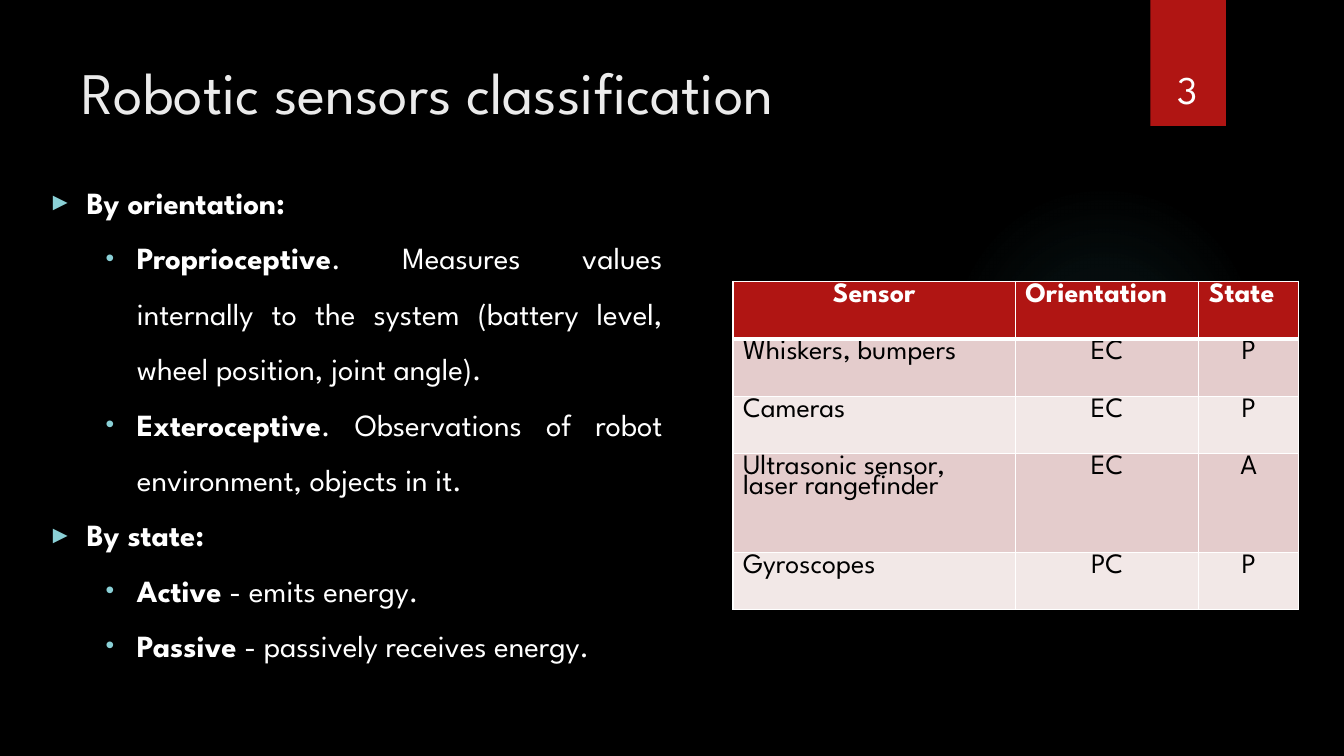
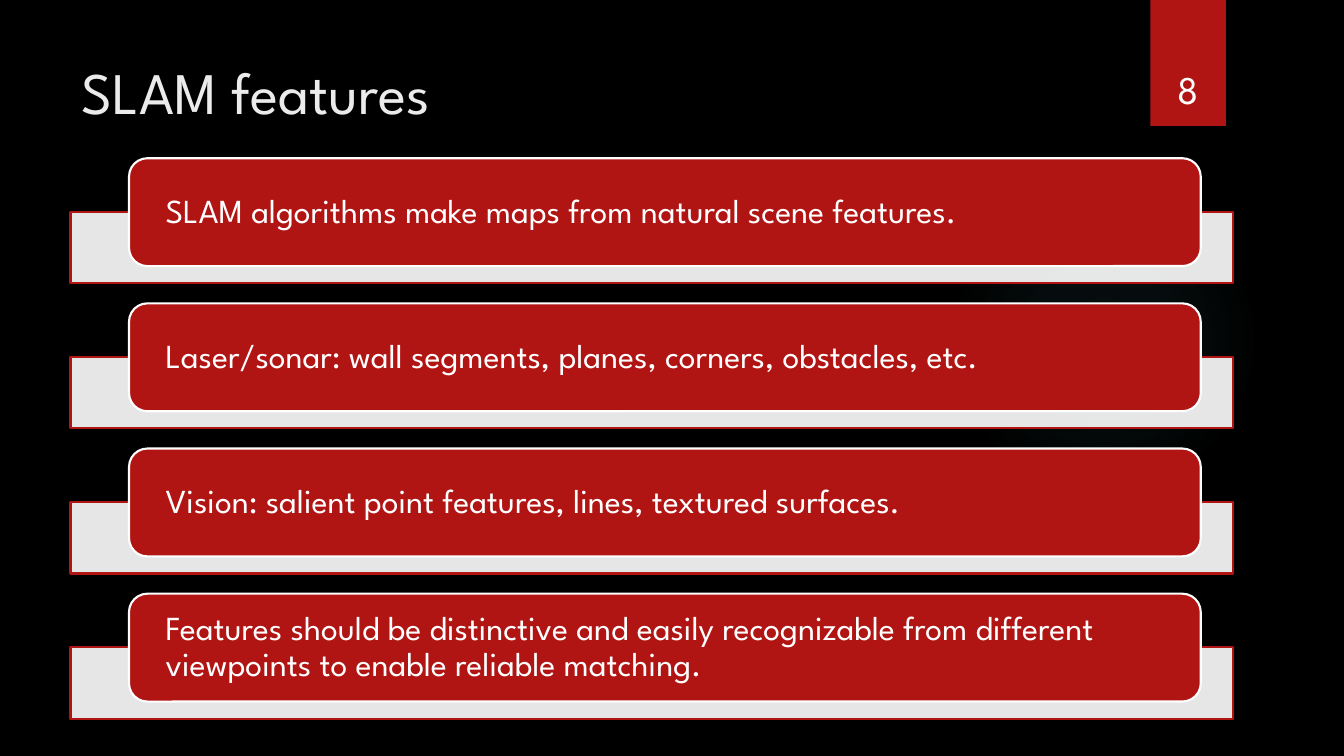
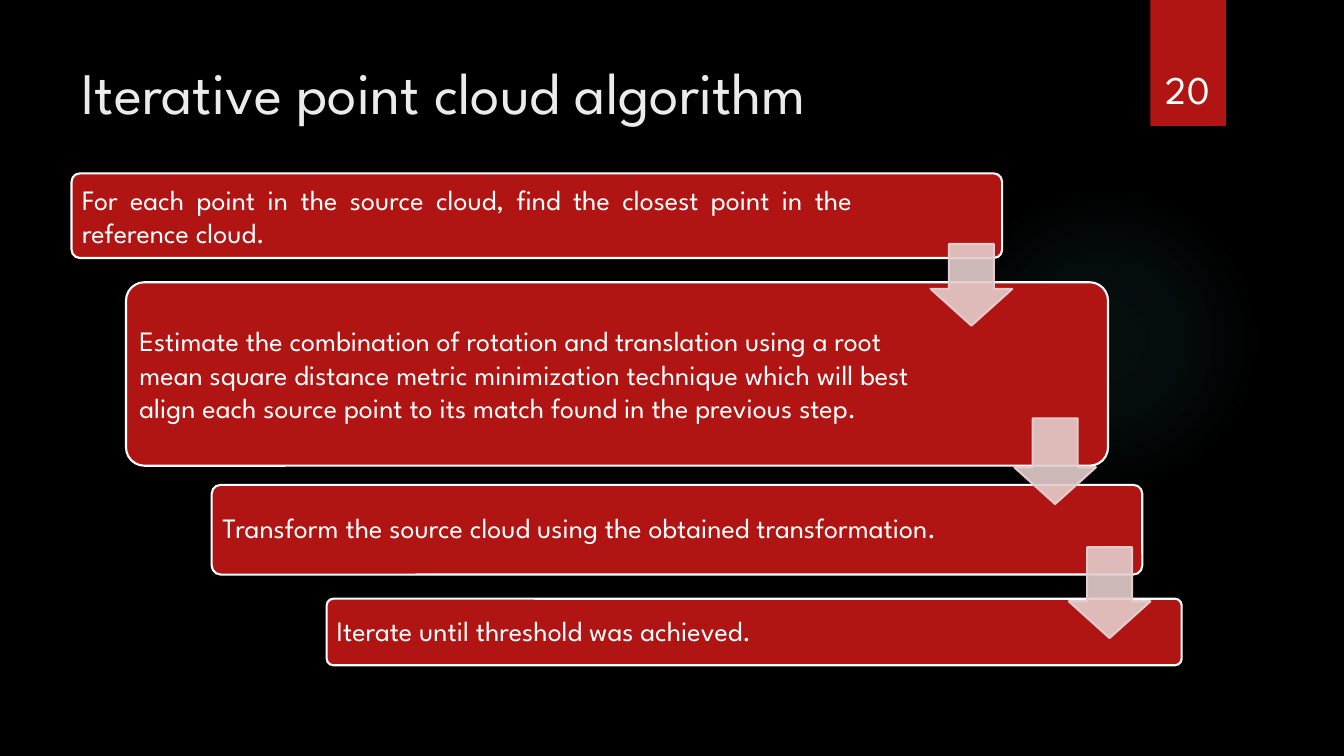
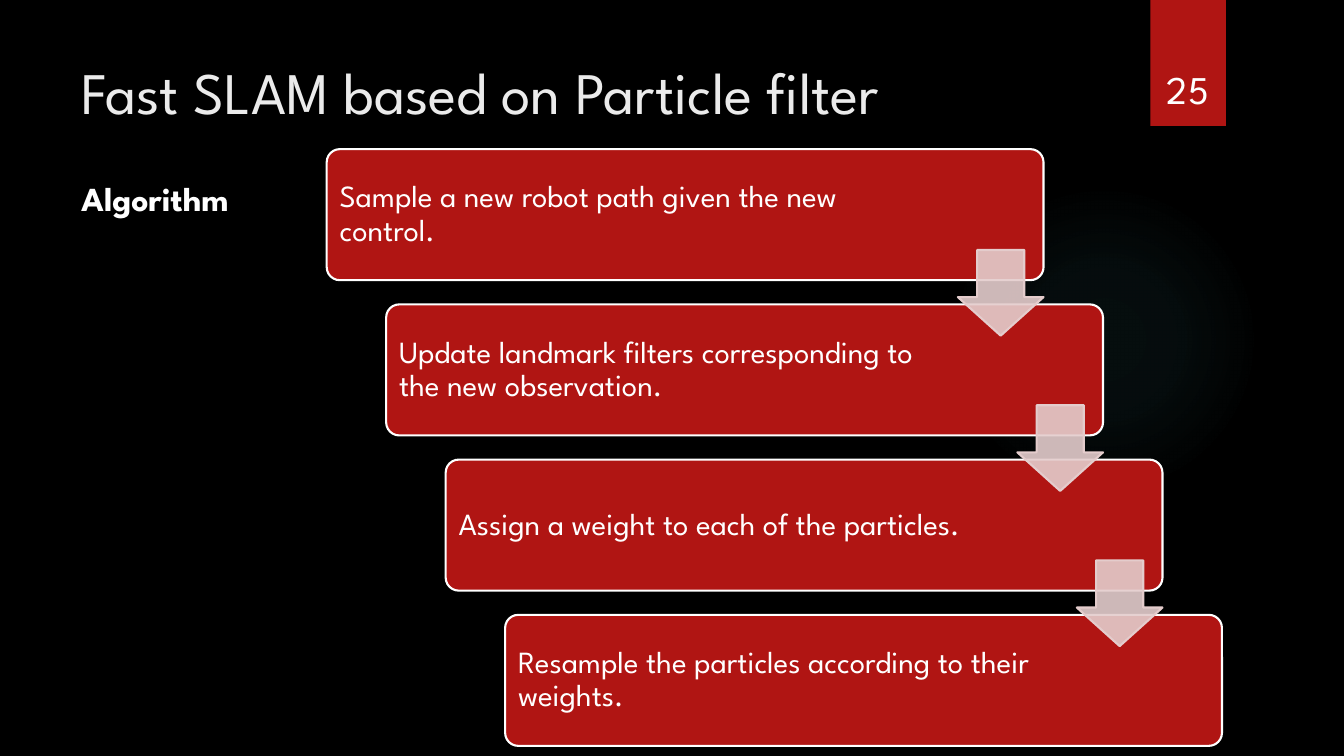
from lxml import etree
from pptx import Presentation
from pptx.dml.color import RGBColor
from pptx.enum.shapes import MSO_SHAPE
from pptx.enum.text import MSO_ANCHOR, PP_ALIGN
from pptx.oxml import parse_xml
from pptx.oxml.ns import nsdecls, qn
from pptx.util import Inches, Pt

RECT, ROUND = MSO_SHAPE.RECTANGLE, MSO_SHAPE.ROUNDED_RECTANGLE
OVAL, DOWN_ARROW = MSO_SHAPE.OVAL, MSO_SHAPE.DOWN_ARROW
LEFT, CENTER, JUSTIFY = PP_ALIGN.LEFT, PP_ALIGN.CENTER, PP_ALIGN.JUSTIFY
TOP, MIDDLE, BOTTOM = MSO_ANCHOR.TOP, MSO_ANCHOR.MIDDLE, MSO_ANCHOR.BOTTOM

FONT = "League Spartan"
BLACK = RGBColor(0x00, 0x00, 0x00)
WHITE = RGBColor(0xFF, 0xFF, 0xFF)
RED = RGBColor(0xB0, 0x15, 0x13)
TITLE_GREY = RGBColor(0xEB, 0xEB, 0xEB)
PINK = RGBColor(0xE4, 0xCC, 0xCC)
PALE_PINK = RGBColor(0xF2, 0xE8, 0xE7)
GLOW = RGBColor(0x50, 0xB9, 0xC1)
BULLET = RGBColor(0x8A, 0xD0, 0xD6)


# Text
def style(font, size, color=WHITE, bold=False):
    font.name, font.size, font.bold = FONT, Pt(size), bold
    font.color.rgb = color


def write(tf, text, size, color=WHITE, bold=False, align=LEFT, anchor=TOP, spacing=None):
    tf.word_wrap = True
    tf.vertical_anchor = anchor
    tf.text = text
    for p in tf.paragraphs:
        p.alignment = align
        if spacing:
            p.line_spacing = spacing
        for r in p.runs:
            style(r.font, size, color, bold)


def add_text(s, x, y, w, h, text, size, **options):
    box = s.shapes.add_textbox(Inches(x), Inches(y), Inches(w), Inches(h))
    write(box.text_frame, text, size, **options)


def set_bullet(p, char, margin, indent):
    pPr = p._p.get_or_add_pPr()
    pPr.set("marL", str(Inches(margin)))
    pPr.set("indent", str(Inches(indent)))
    color = etree.SubElement(pPr, qn("a:buClr"))
    etree.SubElement(color, qn("a:srgbClr"), val=str(BULLET))
    etree.SubElement(pPr, qn("a:buSzPct"), val="80000")
    etree.SubElement(pPr, qn("a:buFont"), typeface="Arial")
    etree.SubElement(pPr, qn("a:buChar"), char=char)


def add_bullets(s, x, y, w, h, items):
    """Items are (bold lead, plain rest); those without a rest are headings."""
    tf = s.shapes.add_textbox(Inches(x), Inches(y), Inches(w), Inches(h)).text_frame
    tf.word_wrap = True
    for i, (lead, rest) in enumerate(items):
        p = tf.add_paragraph() if i else tf.paragraphs[0]
        p.alignment, p.line_spacing = JUSTIFY, 1.5
        if rest:
            set_bullet(p, "•", 0.88, -0.31)
        else:
            set_bullet(p, "►", 0.38, -0.38)
        for text, bold in ((lead, True), (rest, False)):
            if text:
                r = p.add_run()
                r.text = text
                style(r.font, 22, bold=bold)


# Shapes
def add_shape(s, kind, x, y, w, h, fill, line=None, alpha=None):
    sp = s.shapes.add_shape(kind, Inches(x), Inches(y), Inches(w), Inches(h))
    sp.shadow.inherit = False
    sp.fill.solid()
    sp.fill.fore_color.rgb = fill
    if line is None:
        sp.line.fill.background()
    else:
        sp.line.color.rgb = line
        sp.line.width = Pt(1.5)
    if alpha:
        color = sp._element.spPr.find(qn("a:solidFill")).find(qn("a:srgbClr"))
        etree.SubElement(color, qn("a:alpha"), val=str(alpha * 1000))
    return sp


def add_card(s, x, y, w, h, text, size, inset, right_inset, adj=0.1, align=LEFT, spacing=0.9):
    sp = add_shape(s, ROUND, x, y, w, h, RED, WHITE)
    sp.adjustments[0] = adj
    tf = sp.text_frame
    tf.margin_left, tf.margin_right = Inches(inset), Inches(right_inset)
    tf.margin_top = tf.margin_bottom = 0
    write(tf, text, size, align=align, anchor=MIDDLE, spacing=spacing)


def add_arrow(s, x, y, w, h):
    sp = add_shape(s, DOWN_ARROW, x, y, w, h, PINK, PINK, alpha=90)
    sp.adjustments[0], sp.adjustments[1] = 0.55, 0.45


def add_glow(s):
    sp = add_shape(s, OVAL, 9.41, 1.83, 3.08, 3.08, GLOW)
    stops = "".join(
        f'<a:gs pos="{pos * 1000}"><a:srgbClr val="{GLOW}">'
        f'<a:alpha val="{alpha * 1000}"/></a:srgbClr></a:gs>'
        for pos, alpha in ((0, 7), (36, 6), (69, 0), (100, 0)))
    gradient = parse_xml(
        f'<a:gradFill {nsdecls("a")}><a:gsLst>{stops}</a:gsLst><a:path path="circle">'
        '<a:fillToRect l="50000" t="50000" r="50000" b="50000"/></a:path></a:gradFill>')
    spPr = sp._element.spPr
    spPr.replace(spPr.find(qn("a:solidFill")), gradient)


# Table
def set_borders(cell, top, bottom):
    tcPr = cell._tc.get_or_add_tcPr()
    for side, width in (("L", 1), ("R", 1), ("T", top), ("B", bottom)):
        ln = etree.SubElement(tcPr, qn(f"a:ln{side}"), w=str(Pt(width)))
        fill = etree.SubElement(ln, qn("a:solidFill"))
        etree.SubElement(fill, qn("a:srgbClr"), val=str(WHITE))


def add_sensor_table(s, x, y, widths, heights, rows):
    table = s.shapes.add_table(len(rows), len(widths), Inches(x), Inches(y),
                               Inches(sum(widths)), Inches(sum(heights))).table
    table.first_row = table.horz_banding = False
    for column, width in zip(table.columns, widths):
        column.width = Inches(width)
    for i, (row, height) in enumerate(zip(rows, heights)):
        table.rows[i].height = Inches(height)
        header = i == 0
        for j, text in enumerate(row):
            cell = table.cell(i, j)
            set_borders(cell, 3 if i == 1 else 1, 3 if header else 1)
            cell.fill.solid()
            cell.fill.fore_color.rgb = RED if header else PINK if i % 2 else PALE_PINK
            # The header centres its first column, the body all the others
            write(cell.text_frame, text, 20, WHITE if header else BLACK, header,
                  CENTER if header == (j == 0) else LEFT, spacing=0.78)


# Slides
def add_slide(prs, title, number):
    s = prs.slides.add_slide(prs.slide_layouts[6])
    add_glow(s)
    add_shape(s, RECT, 11.41, 0, 0.75, 1.25, RED)
    add_text(s, 0.71, 0.5, 10.29, 1.53, title, 42, color=TITLE_GREY)
    add_text(s, 11.32, 0.32, 0.92, 0.84, str(number), 28, align=CENTER, anchor=BOTTOM)
    return s


def classification_slide(prs):
    s = add_slide(prs, "Robotic sensors classification", 3)
    add_bullets(s, 0.38, 1.59, 6.29, 5.65, [
        ("By orientation:", ""),
        ("Proprioceptive", ". Measures values internally to the system "
                           "(battery level, wheel position, joint angle)."),
        ("Exteroceptive", ". Observations of robot environment, objects in it."),
        ("By state:", ""),
        ("Active", " - emits energy."),
        ("Passive", " - passively receives energy."),
    ])
    add_sensor_table(s, 7.27, 2.79, (2.8, 1.82, 0.99), (0.57, 0.57, 0.57, 0.98, 0.57), [
        ("Sensor", "Orientation", "State"),
        ("Whiskers, bumpers", "EC", "P"),
        ("Cameras", "EC", "P"),
        ("Ultrasonic sensor,\nlaser rangefinder", "EC", "A"),
        ("Gyroscopes", "PC", "P"),
    ])


def features_slide(prs):
    s = add_slide(prs, "SLAM features", 8)
    features = [
        "SLAM algorithms make maps from natural scene features.",
        "Laser/sonar: wall segments, planes, corners, obstacles, etc.",
        "Vision: salient point features, lines, textured surfaces.",
        "Features should be distinctive and easily recognizable from different "
        "viewpoints to enable reliable matching.",
    ]
    for i, text in enumerate(features):
        y = 1.57 + 1.44 * i
        add_shape(s, RECT, 0.7, y + 0.53, 11.53, 0.71, WHITE, RED, alpha=90)
        add_card(s, 1.28, y, 10.63, 1.07, text, 24, 0.31, 0.31, adj=0.17)


def point_cloud_slide(prs):
    s = add_slide(prs, "Iterative point cloud algorithm", 20)
    # Left, top, width, height, right inset, alignment, line spacing, text
    steps = [
        (0.71, 1.72, 9.23, 0.84, 1.46, JUSTIFY, 1.0,
         "For each point in the source cloud, find the closest point in the "
         "reference cloud."),
        (1.25, 2.8, 9.74, 1.82, 1.75, LEFT, 1.0,
         "Estimate the combination of rotation and translation using a root mean "
         "square distance metric minimization technique which will best align each "
         "source point to its match found in the previous step."),
        (2.1, 4.81, 9.23, 0.89, 1.66, LEFT, 0.9,
         "Transform the source cloud using the obtained transformation."),
        (3.24, 5.94, 8.48, 0.66, 1.53, LEFT, 0.9,
         "Iterate until threshold was achieved."),
    ]
    for x, y, w, h, right_inset, align, spacing, text in steps:
        add_card(s, x, y, w, h, text, 20, 0.08, right_inset, align=align, spacing=spacing)
    for x, y, h in ((9.23, 2.42, 0.81), (10.06, 4.15, 0.85), (10.6, 5.43, 0.9)):
        add_arrow(s, x, y, 0.81, h)


def particle_filter_slide(prs):
    s = add_slide(prs, "Fast SLAM based on Particle filter", 25)
    add_text(s, 0.71, 1.52, 2.4, 0.8, "Algorithm", 24, bold=True, spacing=1.5)
    steps = [
        "Sample a new robot path given the new control.",
        "Update landmark filters corresponding to the new observation.",
        "Assign a weight to each of the particles.",
        "Resample the particles according to their weights.",
    ]
    step_x, step_y = 0.59, 1.54
    for i, text in enumerate(steps):
        add_card(s, 3.24 + step_x * i, 1.48 + step_y * i, 7.11, 1.3, text, 22, 0.09, 1.53)
    for i in range(len(steps) - 1):
        add_arrow(s, 9.5 + step_x * i, 2.48 + step_y * i, 0.85, 0.85)


def main():
    prs = Presentation()
    prs.slide_width, prs.slide_height = Inches(13.33), Inches(7.5)
    background = prs.slide_master.background.fill
    background.solid()
    background.fore_color.rgb = BLACK
    classification_slide(prs)
    features_slide(prs)
    point_cloud_slide(prs)
    particle_filter_slide(prs)
    prs.save("out.pptx")


if __name__ == "__main__":
    main()
